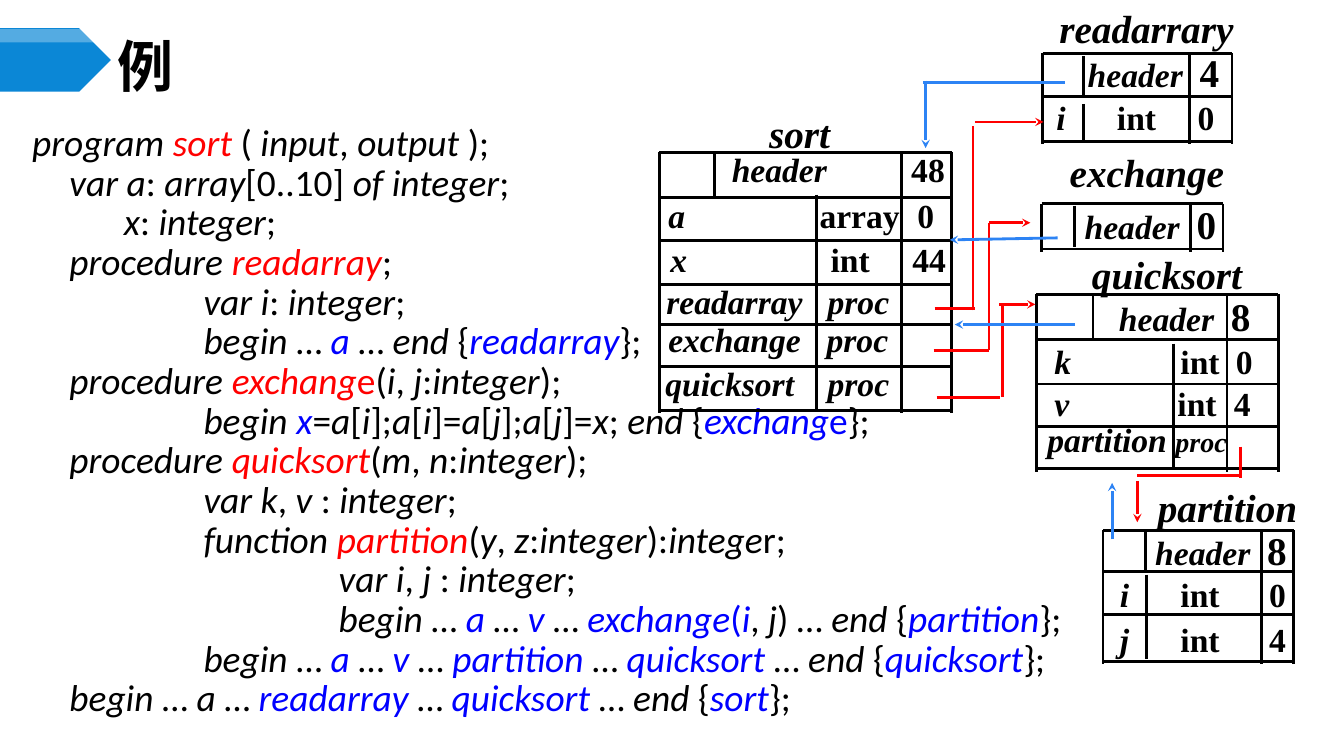
from lxml import etree
from pptx import Presentation
from pptx.dml.color import RGBColor
from pptx.enum.shapes import MSO_CONNECTOR, MSO_SHAPE
from pptx.enum.text import MSO_ANCHOR, MSO_AUTO_SIZE, PP_ALIGN
from pptx.oxml.ns import qn
from pptx.util import Inches, Pt

BLACK = RGBColor(0x00, 0x00, 0x00)
WHITE = RGBColor(0xFF, 0xFF, 0xFF)
RED = RGBColor(0xFF, 0x00, 0x00)
BLUE = RGBColor(0x00, 0x00, 0xFF)
ARROW_BLUE = RGBColor(0x2D, 0x83, 0xF4)
BANNER_BLUE = RGBColor(0x0B, 0x87, 0xD6)

LEFT, CENTER, JUSTIFY = PP_ALIGN.LEFT, PP_ALIGN.CENTER, PP_ALIGN.JUSTIFY
MIDDLE = MSO_ANCHOR.MIDDLE
NO_FIT = MSO_AUTO_SIZE.NONE
STRAIGHT = MSO_CONNECTOR.STRAIGHT
PENTAGON = MSO_SHAPE.PENTAGON

CODE_FONT, TABLE_FONT, TITLE_FONT = "Calibri", "Times New Roman", "Noto Sans CJK SC"

# Markup: _ switches italics, < starts red, ^ starts blue, > returns to black
COLOR_MARKS = {"<": RED, "^": BLUE, ">": BLACK}

# Left indent in inches and marked-up text of each program line
PROGRAM = [
    (0, "_program <sort >_( _input_, _output_ );"),
    (0.37, "_var a_: _array_[0..10] _of integer_;"),
    (0.91, "_x_: _integer_;"),
    (0.37, "_procedure <readarray>_;"),
    (1.7, "_var i_: _integer_;"),
    (1.7, "_begin_ … _^a>_ … _end_ {_^readarray>_};"),
    (0.37, "_procedure <exchang_e>(_i_, _j_:_integer_);"),
    (1.7, "_begin ^x>_=_a_[_i_];_a_[_i_]=_a_[_j_];_a_[_j_]=_x_; _end_ {_^exchang_e>};"),
    (0.37, "_procedure <quicksort>_(_m_, _n_:_integer_);"),
    (1.7, "_var k_, _v_ : _integer_;"),
    (1.7, "_function <partition>_(_y_, _z_:_integer_):_intege_r;"),
    (3.04, "_var i_, _j_ : _integer_;"),
    (3.04, "_begin_ … _^a>_ … _^v >_… _^exchange_(_i_>, _j_) … _end _{_^partition>_};"),
    (1.7, "_begin_ … _^a>_ … _^v>_ … _^partition >_… _^quicksort >_… _end_ {_^quicksort>_};"),
    (0.37, "_begin_ … _a_ … _^readarray >_… _^quicksort >_… _end_ {_^sort>_};"),
]

# Symbol tables: title box, row lines, full-height columns, partial columns
TABLES = [
    ("sort", (7.08, 1.04, 1.7), (1.51, 1.96, 2.39, 2.82, 3.22, 3.64, 4.07),
     (6.54, 8.94, 9.44), [(7.09, 1.53, 1.94), (8.1, 1.93, 4.06)]),
    ("readarrary", (10.33, -0.01, 2.08), (0.53, 0.96, 1.4),
     (10.34, 11.8, 12.22), [(10.75, 0.56, 0.97), (10.75, 1.03, 1.42)]),
    ("exchange", (10.45, 1.42, 1.85), (2.02, 2.47),
     (10.33, 11.81, 12.13), [(10.66, 2.04, 2.45)]),
    ("quicksort", (10.59, 2.43, 1.97), (2.92, 3.37, 3.81, 4.23, 4.65),
     (10.28, 12.17, 12.68), [(10.84, 2.94, 3.35), (11.64, 3.41, 4.66)]),
    ("partition", (11.19, 4.75, 1.97), (5.26, 5.67, 6.1, 6.56),
     (10.94, 12.51, 12.83), [(11.36, 5.26, 5.68), (11.37, 5.7, 6.54)]),
]

# Table rows: left, top, width, marked-up text, tab stops
ROWS = [
    (7.16, 1.43, 2.53, "_header_\t48", (1.78,)),
    (6.53, 1.88, 2.97, "_a_\tarray\t0", (1.5, 2.47)),
    (6.55, 2.32, 3.02, "_x_\tint\t44", (1.59, 2.4)),
    (6.51, 2.74, 2.61, "_readarray\tproc_", (1.6,)),
    (6.53, 3.11, 2.66, "_exchange\tproc_", (1.57,)),
    (6.5, 3.55, 3.12, "_quicksort\tproc_", (1.61,)),
    (10.38, 0.91, 1.9, "_i_\tint\t0", (0.6, 1.4)),
    (10.36, 3.33, 2.97, "_k_\tint\t0", (1.25, 1.8)),
    (10.36, 3.75, 2.97, "_v_\tint\t4", (1.22, 1.78)),
    (11.01, 5.64, 2.13, "_i_\tint\t0", (0.6, 1.48)),
    (11.01, 6.09, 2.3, "_j_\tint\t4", (0.6, 1.48)),
]
# Header rows: left, top, size value
HEADERS = [(10.69, 0.43, "4"), (10.66, 1.94, "0"), (11, 2.85, "8"), (11.36, 5.17, "8")]

# Pointer paths: colour and legs (x1, y1, x2, y2); the last leg has the arrowhead
POINTERS = [
    (RED, [(9.27, 3.06, 9.67, 3.06), (9.65, 3.08, 9.65, 1.25), (9.67, 1.21, 10.35, 1.21)]),
    (RED, [(9.26, 3.48, 9.81, 3.48), (9.81, 3.47, 9.81, 2.21), (9.81, 2.21, 10.22, 2.21)]),
    (RED, [(9.29, 3.94, 9.92, 3.94), (9.94, 3.94, 9.94, 3.02), (9.91, 3.02, 10.27, 3.02)]),
    (RED, [(12.3, 4.43, 12.3, 4.74), (12.29, 4.72, 11.28, 4.72), (11.28, 4.77, 11.28, 5.18)]),
    (ARROW_BLUE, [(10.56, 0.82, 9.15, 0.82), (9.18, 0.8, 9.18, 1.47)]),
    (ARROW_BLUE, [(10.49, 2.36, 9.42, 2.38)]),
    (ARROW_BLUE, [(10.66, 3.22, 9.47, 3.22)]),
    (ARROW_BLUE, [(11.03, 5.35, 11.03, 4.79)]),
]


def add_run(p, text, *, font, size, color=BLACK, bold=False, italic=False):
    r = p.add_run()
    r.text = text
    r.font.name, r.font.size = font, Pt(size)
    r.font.bold, r.font.italic = bold, italic
    r.font.color.rgb = color
    etree.SubElement(r.font._element, qn("a:ea"), typeface=font)


def add_markup(p, markup, **style):
    text, color, italic = "", BLACK, False
    for ch in markup + ">":
        if ch != "_" and ch not in COLOR_MARKS:
            text += ch
            continue
        if text:
            add_run(p, text, color=color, italic=italic, **style)
            text = ""
        if ch == "_":
            italic = not italic
        else:
            color = COLOR_MARKS[ch]


class SlideBuilder:
    def __init__(self, slide):
        self.s = slide
        self.table_style = {"font": TABLE_FONT, "bold": True}

    def banner(self, top, height, color, alpha=None):
        sp = self.s.shapes.add_shape(PENTAGON, 0, Inches(top), Inches(1.1), Inches(height))
        sp.shadow.inherit = False
        sp.fill.solid()
        sp.fill.fore_color.rgb = color
        sp.line.fill.background()
        if alpha:
            clr = sp._element.spPr.find(".//" + qn("a:srgbClr"))
            etree.SubElement(clr, qn("a:alpha"), val=str(alpha * 1000))

    def title(self, text):
        sp = self.s.shapes.title
        sp.left, sp.top, sp.width, sp.height = map(Inches, (1.1, 0.39, 11.56, 0.52))
        tf = sp.text_frame
        tf.auto_size, tf.vertical_anchor = NO_FIT, MIDDLE
        tf.margin_left = tf.margin_right = Inches(0.07)
        tf.margin_top = tf.margin_bottom = Inches(0.04)
        p = tf.paragraphs[0]
        p.alignment = LEFT
        add_run(p, text, font=TITLE_FONT, size=40, bold=True)

    def text_frame(self, x, y, w, h=0.53):
        tf = self.s.shapes.add_textbox(*map(Inches, (x, y, w, h))).text_frame
        tf.word_wrap = True
        return tf

    def program(self, lines):
        tf = self.text_frame(0.22, 1.22, 11.92, 6.25)
        for i, (indent, markup) in enumerate(lines):
            p = tf.add_paragraph() if i else tf.paragraphs[0]
            p.alignment, p.line_spacing = JUSTIFY, 0.8
            p.space_before = Pt(2.7 if i else 0)
            p._p.get_or_add_pPr().set("marL", str(Inches(indent)))
            add_markup(p, markup, font=CODE_FONT, size=26.7)

    def line(self, x1, y1, x2, y2, color=BLACK, arrow=False):
        cx = self.s.shapes.add_connector(STRAIGHT, *map(Inches, (x1, y1, x2, y2)))
        cx.line.color.rgb, cx.line.width = color, Pt(2)
        if arrow:
            etree.SubElement(cx.line._get_or_add_ln(), qn("a:tailEnd"), type="stealth")
        etree.SubElement(cx._element.spPr, qn("a:effectLst"))

    def table(self, name, title_box, ys, columns, partial_columns):
        p = self.text_frame(*title_box, 0.56).paragraphs[0]
        p.alignment = CENTER
        add_run(p, name, size=28, italic=True, **self.table_style)
        for y in ys:
            self.line(columns[0], y, columns[-1], y)
        for x, top, bottom in [(x, ys[0], ys[-1] + 0.03) for x in columns] + partial_columns:
            self.line(x, top, x, bottom)

    def row(self, x, y, w, markup, tabs=(), end="", end_size=24):
        p = self.text_frame(x, y, w).paragraphs[0]
        if tabs:
            tab_list = etree.SubElement(p._p.get_or_add_pPr(), qn("a:tabLst"))
            for pos in tabs:
                etree.SubElement(tab_list, qn("a:tab"), pos=str(Inches(pos)), algn="l")
        add_markup(p, markup, size=24, **self.table_style)
        add_markup(p, end, size=end_size, **self.table_style)


def main():
    prs = Presentation()
    prs.slide_width, prs.slide_height = Inches(13.33), Inches(7.5)
    b = SlideBuilder(prs.slides.add_slide(prs.slide_layouts[5]))

    # Heading
    b.banner(0.28, 0.63, BANNER_BLUE)
    b.banner(0.29, 0.13, WHITE, alpha=30)
    b.title("例")

    # Program listing
    b.program(PROGRAM)

    # Symbol tables
    for table in TABLES:
        b.table(*table)
    for row in ROWS:
        b.row(*row)
    for x, y, value in HEADERS:
        b.row(x, y, 1.63, "_header_\t", (1.11,), value, 28)
    b.row(10.29, 4.11, 2.41, "_partition _", end="_proc_", end_size=20)

    # Pointers between tables
    for color, legs in POINTERS:
        for leg in legs:
            b.line(*leg, color=color, arrow=leg is legs[-1])

    prs.save("out.pptx")


if __name__ == "__main__":
    main()
